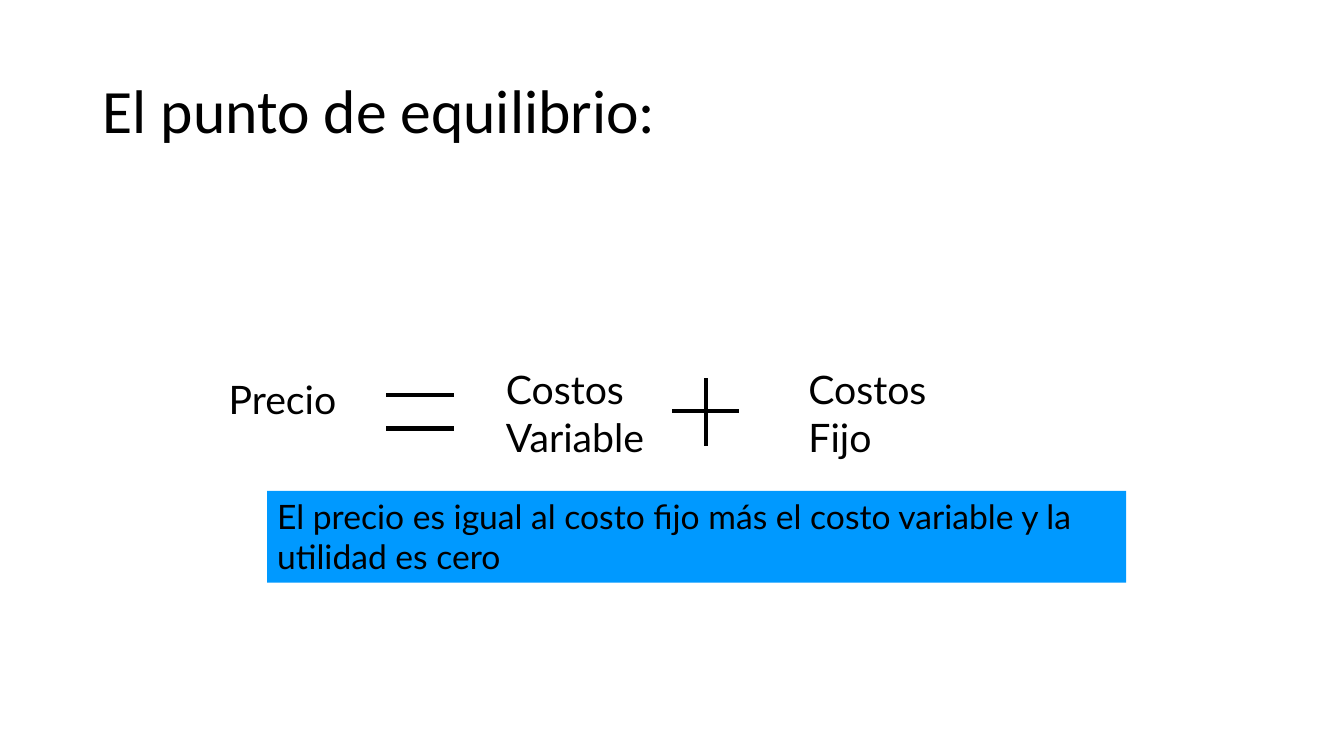
import dataclasses
import typing

import lxml.etree
import pptx
import pptx.dml.color
import pptx.enum.shapes
import pptx.enum.text
import pptx.oxml.ns
import pptx.util

PX = 9144  # EMU per px, 100 px to the inch


@dataclasses.dataclass(frozen=True)
class Theme:
    ink: str = "000000"
    blue: str = "0099FF"
    head: str = "Calibri"
    body: str = "Lato"
    title: int = 44
    term: int = 28
    note: int = 24
    stroke: int = 3


class Box(typing.NamedTuple):
    left: int
    top: int
    width: int
    height: int


class Term(typing.NamedTuple):
    text: str
    box: Box


class Bar(typing.NamedTuple):
    x1: int
    y1: int
    x2: int
    y2: int


THEME = Theme()
TITLE = Box(92, 40, 1150, 145)
NOTE = Box(265, 487, 852, 91)
TERMS = (
    Term("Precio", Box(217, 367, 142, 57)),
    Term("Costos Variable", Box(492, 358, 167, 103)),
    Term("Costos Fijo", Box(792, 358, 142, 103)),
)
PLUS = (Bar(700, 375, 700, 442), Bar(667, 408, 733, 408))
EQUALS = tuple(Bar(383, y, 450, y) for y in (392, 425))


def emu(*spans: int) -> list[pptx.util.Emu]:
    return [pptx.util.Emu(span * PX) for span in spans]


def color(code: str) -> pptx.dml.color.RGBColor:
    return pptx.dml.color.RGBColor.from_string(code)


def write(slide, text: str, box: Box, *, size: int, font: str = THEME.body,
          fill: str | None = None, middle: bool = False,
          spacing: float = 1.0) -> None:
    """Add left-aligned text, on a filled rectangle if fill is given."""
    if fill:
        kind = pptx.enum.shapes.MSO_SHAPE.RECTANGLE
        shape = slide.shapes.add_shape(kind, *emu(*box))
        shape.shadow.inherit = False
        shape.fill.solid()
        shape.fill.fore_color.rgb = color(fill)
        shape.line.fill.background()
    else:
        shape = slide.shapes.add_textbox(*emu(*box))
    frame = shape.text_frame
    frame.word_wrap = True
    anchor = pptx.enum.text.MSO_ANCHOR
    frame.vertical_anchor = anchor.MIDDLE if middle else anchor.TOP
    para = frame.paragraphs[0]
    para.alignment = pptx.enum.text.PP_ALIGN.LEFT
    para.line_spacing = spacing
    run = para.add_run()
    run.text = text
    run.font.name = font
    run.font.size = pptx.util.Pt(size)
    run.font.color.rgb = color(THEME.ink)


def draw(slide, bar: Bar) -> None:
    kind = pptx.enum.shapes.MSO_CONNECTOR.STRAIGHT
    line = slide.shapes.add_connector(kind, *emu(*bar))
    line.line.color.rgb = color(THEME.ink)
    line.line.width = pptx.util.Pt(THEME.stroke)
    props = line._element.spPr
    lxml.etree.SubElement(props, pptx.oxml.ns.qn("a:effectLst"))


def main() -> None:
    deck = pptx.Presentation()
    deck.slide_width, deck.slide_height = emu(1333, 750)
    slide = deck.slides.add_slide(deck.slide_layouts[6])
    write(slide, "El punto de equilibrio:", TITLE, size=THEME.title,
          font=THEME.head, middle=True, spacing=0.9)
    for term in TERMS:
        write(slide, term.text, term.box, size=THEME.term)
    for bar in PLUS:
        draw(slide, bar)
    write(slide, "El precio es igual al costo fijo más el costo variable "
          "y la utilidad es cero", NOTE, size=THEME.note, fill=THEME.blue)
    for bar in EQUALS:
        draw(slide, bar)
    deck.save("out.pptx")


if __name__ == "__main__":
    main()
